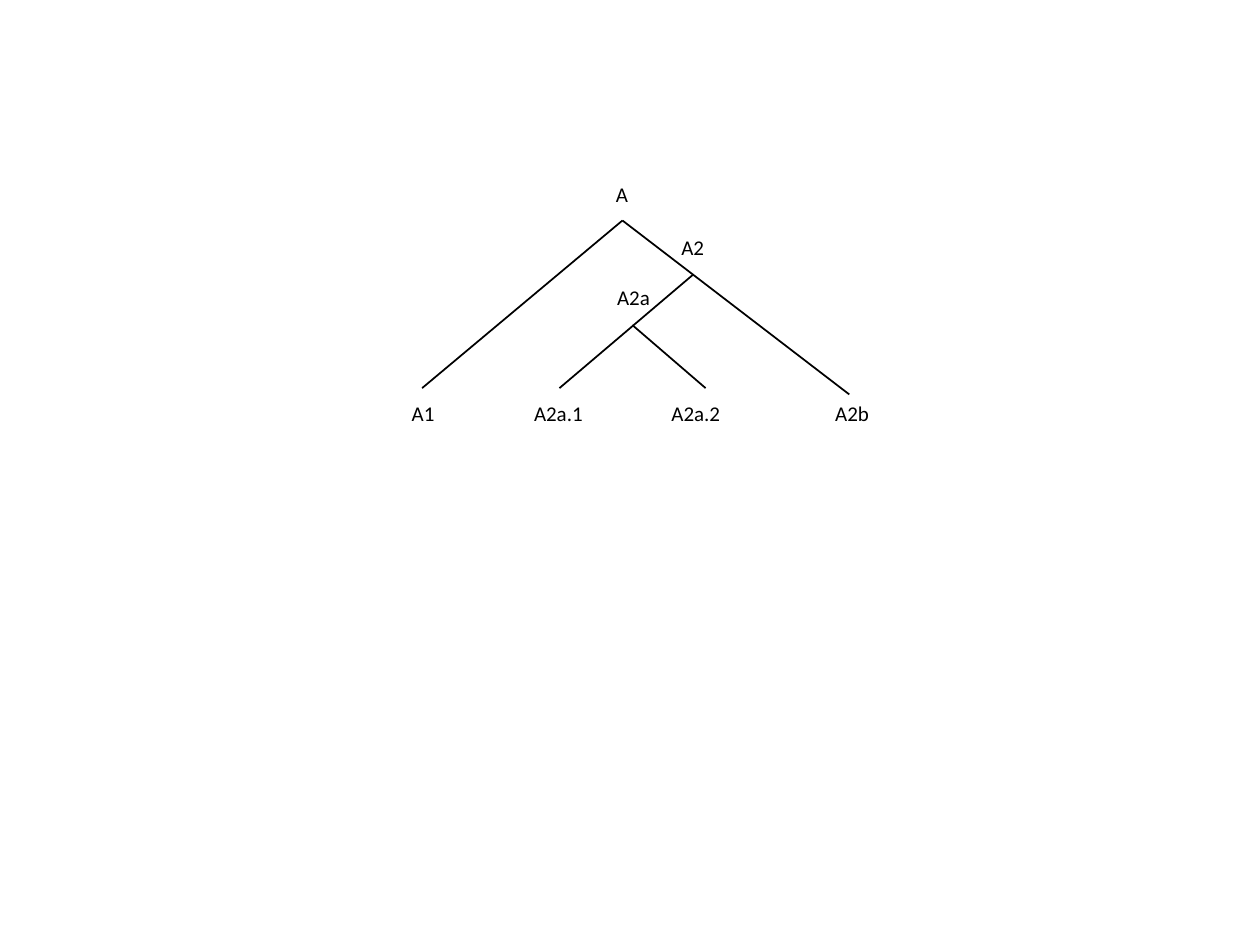
from typing import NamedTuple

from pptx import Presentation
from pptx.dml.color import RGBColor
from pptx.enum.shapes import MSO_CONNECTOR as Connector
from pptx.enum.text import MSO_AUTO_SIZE as AutoSize
from pptx.oxml.ns import qn
from pptx.slide import Slide
from pptx.util import Pt
from lxml.etree import SubElement

BLACK = RGBColor(0, 0, 0)
LABEL_FONT = {"name": "Calibri", "size": Pt(12)}
LABEL_HEIGHT = 21.6
LEAF_TOP = 225.4
BRANCH_BOTTOM = 221.8


class Point(NamedTuple):
    x: float
    y: float


class Branch(NamedTuple):
    start: Point
    end: Point


class Label(NamedTuple):
    text: str
    left: float
    top: float
    width: float


NODE_A = Point(355.7, 126)
NODE_A2 = Point(396, 157)
NODE_A2A = Point(361.4, 185.8)

BRANCHES = [
    Branch(NODE_A, Point(241.2, BRANCH_BOTTOM)),
    Branch(Point(485.3, LEAF_TOP), NODE_A),
    Branch(NODE_A2, Point(319.7, BRANCH_BOTTOM)),
    Branch(Point(403.2, BRANCH_BOTTOM), NODE_A2A),
]

LABELS = [
    Label("A", 344.9, 100.1, 23.8),
    Label("A1", 228.2, LEAF_TOP, 36),
    Label("A2a", 345.6, 159.1, 36),
    Label("A2", 382.3, 130.3, 36),
    Label("A2b", 470.2, LEAF_TOP, 48.2),
    Label("A2a.1", 298.1, LEAF_TOP, 48.2),
    Label("A2a.2", 376.6, LEAF_TOP, 48.2),
]


def draw_branch(slide: Slide, branch: Branch) -> None:
    ends = [Pt(length) for point in branch for length in point]
    connector = slide.shapes.add_connector(Connector.STRAIGHT, *ends)
    connector.line.color.rgb = BLACK
    connector.line.width = Pt(1)
    SubElement(connector._element.spPr, qn("a:effectLst"))


def draw_label(slide: Slide, label: Label) -> None:
    box = slide.shapes.add_textbox(
        Pt(label.left), Pt(label.top), Pt(label.width), Pt(LABEL_HEIGHT)
    )
    frame = box.text_frame
    frame.word_wrap = True
    frame.auto_size = AutoSize.SHAPE_TO_FIT_TEXT
    run = frame.paragraphs[0].add_run()
    run.text = label.text
    for attribute, value in LABEL_FONT.items():
        setattr(run.font, attribute, value)
    run.font.color.rgb = BLACK


def main() -> None:
    presentation = Presentation()
    presentation.slide_width, presentation.slide_height = Pt(720), Pt(540)
    blank_layout = presentation.slide_layouts[6]
    slide = presentation.slides.add_slide(blank_layout)
    for branch in BRANCHES:
        draw_branch(slide, branch)
    for label in LABELS:
        draw_label(slide, label)
    presentation.save("out.pptx")


if __name__ == "__main__":
    main()
